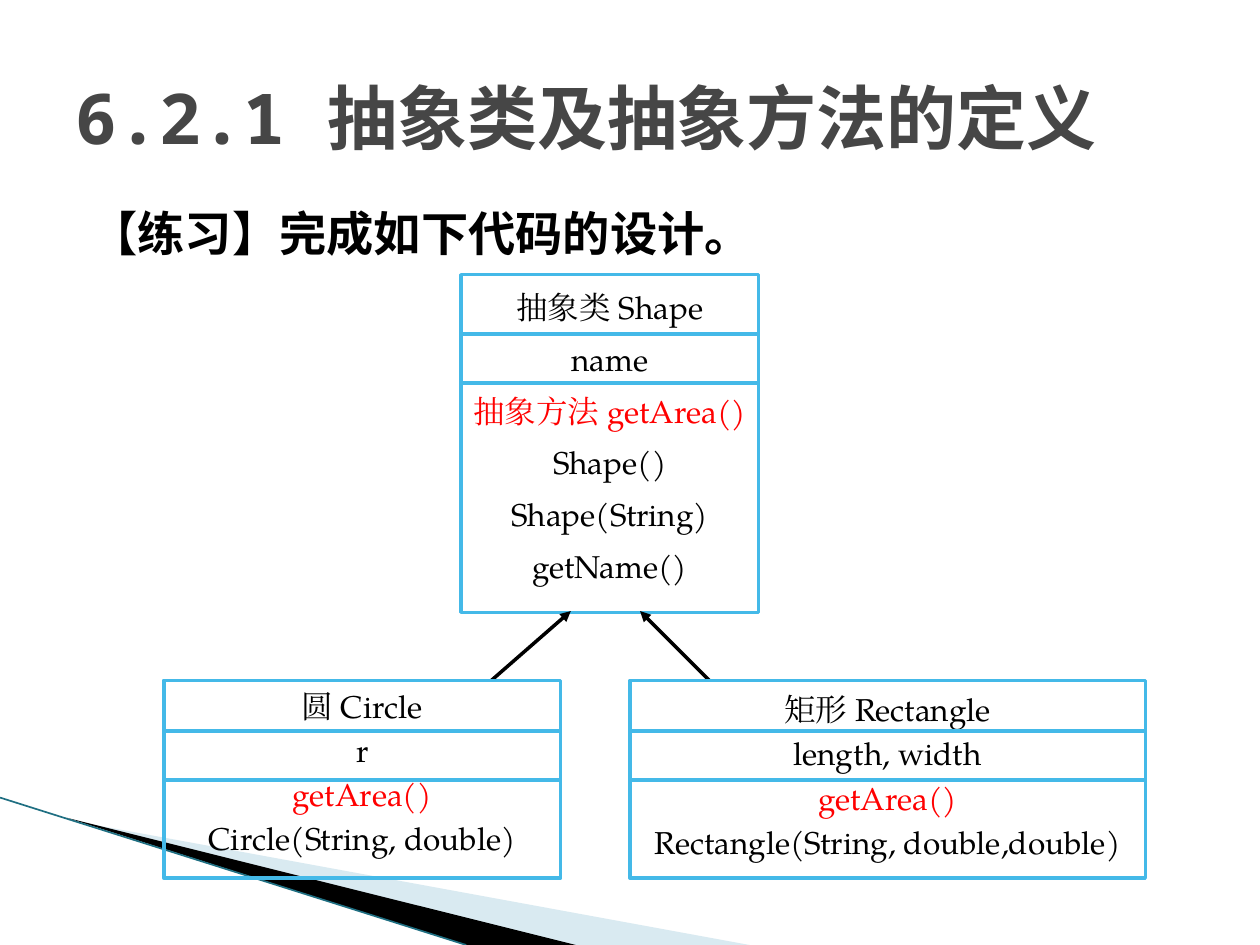
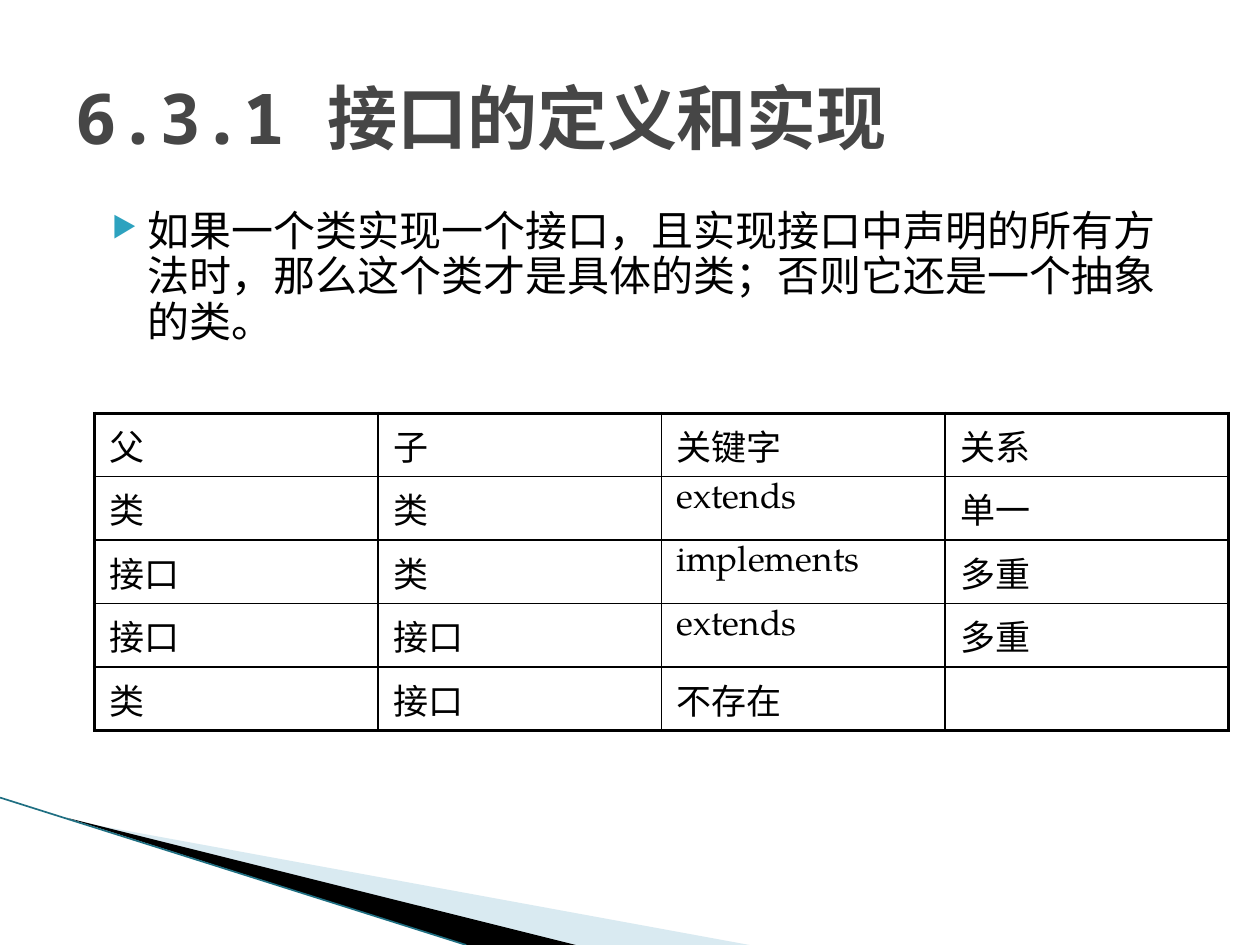
from lxml import etree
from pptx import Presentation
from pptx.dml.color import RGBColor
from pptx.enum.shapes import MSO_CONNECTOR, MSO_SHAPE
from pptx.enum.text import MSO_ANCHOR, MSO_AUTO_SIZE, PP_ALIGN
from pptx.oxml.ns import qn
from pptx.util import Inches, Pt

RECT = MSO_SHAPE.RECTANGLE
LINE = MSO_CONNECTOR.STRAIGHT
TOP, MIDDLE = MSO_ANCHOR.TOP, MSO_ANCHOR.MIDDLE
LEFT, CENTER = PP_ALIGN.LEFT, PP_ALIGN.CENTER
FIXED = MSO_AUTO_SIZE.NONE

BLACK = RGBColor(0x00, 0x00, 0x00)
GREY = RGBColor(0x46, 0x46, 0x46)
RED = RGBColor(0xFF, 0x00, 0x00)
SKY = RGBColor(0x44, 0xB9, 0xE8)
PALE = RGBColor(0xA0, 0xCB, 0xDC)
TEAL = RGBColor(0x1F, 0x6F, 0x82)
AQUA = RGBColor(0x2D, 0xA2, 0xBF)

MONO = "Noto Sans Mono"
SERIF = "TeX Gyre Pagella"

WEDGES = [
    ([(0.55, 6.51), (5.95, 7.5), (4.56, 7.5)], PALE, 40),
    ([(0.53, 6.49), (4.57, 7.5), (3.7, 7.5)], BLACK, 100),
]
ROWS = [
    ("父", "子", "关键字", "关系"),
    ("类", "类", "extends", "单一"),
    ("接口", "类", "implements", "多重"),
    ("接口", "接口", "extends", "多重"),
    ("类", "接口", "不存在", ""),
]


def add_tag(node, tag, **attrs):
    return etree.SubElement(node, qn(tag), attrs)


class Deck:
    def __init__(self):
        self.show = Presentation()
        self.show.slide_width = Inches(10)
        self.show.slide_height = Inches(7.5)
        self.slide = None

    @property
    def shapes(self):
        return self.slide.shapes

    def start(self, title):
        self.slide = self.show.slides.add_slide(self.show.slide_layouts[5])
        for points, color, alpha in WEDGES:
            self.wedge(points, color, alpha)
        self.line((0, 6.33), (3.7, 7.5), TEAL, 0.95)
        head = self.shapes.title
        self.place(head, 0.5, 0.3, 9, 1.25)
        frame = head.text_frame
        frame.auto_size = FIXED
        frame.vertical_anchor = MIDDLE
        para = frame.paragraphs[0]
        para.alignment = LEFT
        self.run(para, title, 40, GREY, MONO, True)

    def place(self, shape, x, y, w, h):
        shape.left, shape.top = Inches(x), Inches(y)
        shape.width, shape.height = Inches(w), Inches(h)

    def run(self, para, text, size, color=BLACK, face=SERIF, bold=False, east=True):
        run = para.add_run()
        run.text = text
        font = run.font
        font.size, font.name, font.bold = Pt(size), face, bold
        font.color.rgb = color
        if east:
            add_tag(run._r.get_or_add_rPr(), "a:ea", typeface=face)

    def indent(self, para, left, first):
        props = para._p.get_or_add_pPr()
        props.set("marL", str(Inches(left)))
        props.set("indent", str(Inches(first)))
        return props

    def wedge(self, points, color, alpha):
        spots = [(Inches(x), Inches(y)) for x, y in points]
        form = self.shapes.build_freeform(*spots[0])
        form.add_line_segments(spots[1:], close=True)
        shape = form.convert_to_shape()
        shape.shadow.inherit = False
        shape.line.fill.background()
        shape.fill.solid()
        shape.fill.fore_color.rgb = color
        if alpha < 100:
            tint = shape.fill._xPr.find(".//" + qn("a:srgbClr"))
            add_tag(tint, "a:alpha", val=str(alpha * 1000))

    def line(self, start, end, color, width=2, arrow=False):
        link = self.shapes.add_connector(LINE, *map(Inches, start + end))
        link.line.color.rgb = color
        link.line.width = Pt(width)
        if arrow:
            add_tag(link.line._get_or_add_ln(), "a:tailEnd", type="triangle")
        add_tag(link._element.spPr, "a:effectLst")

    def body(self, text, x, w, size, left, first=0, bold=False, bullet=None):
        box = self.shapes.add_textbox(Inches(x), Inches(1.62), Inches(w), Inches(4.95))
        box.text_frame.word_wrap = True
        para = box.text_frame.paragraphs[0]
        para.space_before = Pt(4)
        para.line_spacing = 0.9
        props = self.indent(para, left, first)
        if bullet:
            add_tag(add_tag(props, "a:buClr"), "a:srgbClr", val=str(AQUA))
            add_tag(props, "a:buSzPct", val="68000")
            add_tag(props, "a:buChar", char=bullet)
        self.run(para, text, size, face=MONO, bold=bold)

    def card(self, x, y, w, h, lines, mark, head=0.4, space=1.0, first=1.0):
        box = self.shapes.add_shape(RECT, *map(Inches, (x, y, w, h)))
        box.shadow.inherit = False
        box.fill.background()
        box.line.color.rgb = SKY
        box.line.width = Pt(2)
        frame = box.text_frame
        frame.word_wrap = False
        frame.vertical_anchor = TOP
        for i, text in enumerate(lines):
            para = frame.add_paragraph() if i else frame.paragraphs[0]
            para.alignment = CENTER
            para.space_before = Pt(3.6)
            para.line_spacing = space if i else first
            self.indent(para, 0.38, -0.38)
            self.run(para, text, 18, RED if text == mark else BLACK)
        for drop in (head, head + 0.39):
            self.line((x, y + drop), (x + w, y + drop), SKY)

    def edge(self, cell, index, tag, thick):
        line = etree.Element(qn(tag), w=str(Pt(2.25 if thick else 1)))
        add_tag(add_tag(line, "a:solidFill"), "a:srgbClr", val=str(BLACK))
        cell._tc.get_or_add_tcPr().insert(index, line)

    def table(self, x, y, w, h, rows):
        deep, wide = len(rows), len(rows[0])
        grid = self.shapes.add_table(deep, wide, *map(Inches, (x, y, w, h))).table
        grid.first_row = grid.horz_banding = False
        for r, row in enumerate(rows):
            grid.rows[r].height = Inches(0.43 if r else 0.5)
            for c, text in enumerate(row):
                cell = grid.cell(r, c)
                cell.margin_left = cell.margin_right = Inches(0.12)
                cell.fill.background()
                sides = [("a:lnL", c == 0), ("a:lnR", c == wide - 1),
                         ("a:lnT", r == 0), ("a:lnB", r == deep - 1)]
                for i, (tag, thick) in enumerate(sides):
                    self.edge(cell, i, tag, thick)
                if text:
                    para = cell.text_frame.paragraphs[0]
                    para.space_before = Pt(4)
                    self.run(para, text, 20, east=False)


def main():
    deck = Deck()

    deck.start("6.2.1 抽象类及抽象方法的定义")
    deck.body("【练习】完成如下代码的设计。", 0.5, 9, 27, 0.12, bold=True)
    base = "抽象方法 getArea()"
    deck.card(3.66, 2.18, 2.36, 2.68,
              ["抽象类 Shape", "name", base, "Shape()", "Shape(String)", "getName()"],
              base, head=0.47, space=1.2, first=1.2)
    deck.line((5.63, 5.4), (5.08, 4.85), BLACK, arrow=True)
    deck.line((3.9, 5.4), (4.53, 4.85), BLACK, arrow=True)
    area = "getArea()"
    deck.card(1.3, 5.4, 3.15, 1.57,
              ["圆 Circle", "r", area, "Circle(String, double)"], area)
    deck.card(5, 5.4, 4.09, 1.57,
              ["矩形 Rectangle", "length, width", area,
               "Rectangle(String, double,double)"], area, first=1.1)

    deck.start("6.3.1 接口的定义和实现")
    deck.table(0.75, 3.28, 9, 2.24, ROWS)
    deck.body("如果一个类实现一个接口，且实现接口中声明的所有方法时，"
              "那么这个类才是具体的类；否则它还是一个抽象的类。",
              0.67, 8.74, 24, 0.4, -0.28, bullet="▶")

    deck.show.save("out.pptx")


if __name__ == "__main__":
    main()
